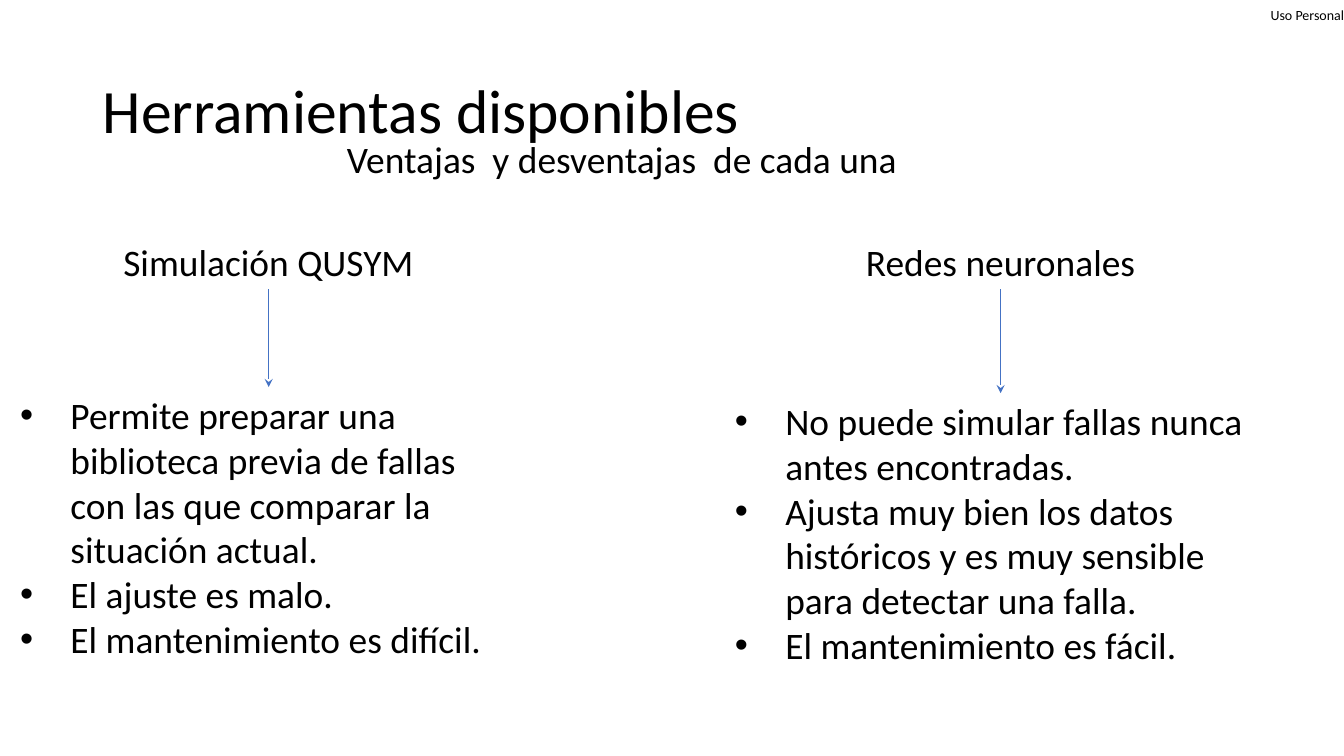
from lxml.etree import SubElement
from pptx import Presentation
from pptx.dml.color import RGBColor
from pptx.enum.shapes import MSO_CONNECTOR
from pptx.enum.text import MSO_ANCHOR, PP_ALIGN
from pptx.oxml.ns import qn
from pptx.util import Inches, Pt

BLACK = RGBColor(0x00, 0x00, 0x00)
BLUE = RGBColor(0x44, 0x72, 0xC4)


class SlideBuilder:
    font_name = "Calibri"
    body_size = 26.7
    bullet_indent = 0.5

    def __init__(self, slide):
        self.slide = slide

    def text(self, box, lines, size=body_size, align=PP_ALIGN.LEFT,
             anchor=MSO_ANCHOR.TOP, line_spacing=None, bulleted=False, padded=True):
        shape = self.slide.shapes.add_textbox(*map(Inches, box))
        frame = shape.text_frame
        frame.word_wrap = True
        frame.vertical_anchor = anchor
        frame.margin_left = frame.margin_right = Inches(0.1 if padded else 0)
        frame.margin_top = frame.margin_bottom = Inches(0.05 if padded else 0)
        for index, line in enumerate(lines):
            paragraph = frame.add_paragraph() if index else frame.paragraphs[0]
            paragraph.alignment = align
            if line_spacing:
                paragraph.line_spacing = line_spacing
            if bulleted:
                self.bullet(paragraph)
            run = paragraph.add_run()
            run.text = line
            run.font.name = self.font_name
            run.font.size = Pt(size)
            run.font.color.rgb = BLACK

    def bullet(self, paragraph):
        properties = paragraph._p.get_or_add_pPr()
        indent = Inches(self.bullet_indent)
        properties.set("marL", str(indent))
        properties.set("indent", str(-indent))
        SubElement(properties, qn("a:buFont"), typeface="Arial")
        SubElement(properties, qn("a:buChar"), char="•")

    def down_arrow(self, x, top, bottom):
        connector = self.slide.shapes.add_connector(
            MSO_CONNECTOR.STRAIGHT, Inches(x), Inches(top), Inches(x), Inches(bottom))
        connector.line.color.rgb = BLUE
        connector.line.width = Pt(1)
        SubElement(connector.line._get_or_add_ln(), qn("a:tailEnd"), type="stealth")
        SubElement(connector._element.spPr, qn("a:effectLst"))


def main():
    presentation = Presentation()
    presentation.slide_width = Inches(13.33)
    presentation.slide_height = Inches(7.5)
    builder = SlideBuilder(presentation.slides.add_slide(presentation.slide_layouts[6]))

    # Classification label, title and subtitle
    builder.text((12.29, 0, 1.04, 0.29), ["Uso Personal"], size=10,
                 align=PP_ALIGN.RIGHT, anchor=MSO_ANCHOR.MIDDLE, padded=False)
    builder.text((0.92, 0.4, 11.5, 1.45), ["Herramientas disponibles"], size=44,
                 anchor=MSO_ANCHOR.MIDDLE, line_spacing=0.9)
    builder.text((2.88, 1.3, 6.58, 0.55), ["Ventajas  y desventajas  de cada una"],
                 align=PP_ALIGN.CENTER)

    # One column per tool: heading, arrow and list
    heading_top, heading_height, list_height = 2.32, 0.55, 2.79
    columns = [
        ("Simulación QUSYM", 0.73, 3.87, (0.1, 3.84, 5.12), [
            "Permite preparar una biblioteca previa de fallas con las que comparar "
            "la situación actual.",
            "El ajuste es malo.",
            "El mantenimiento es difícil.",
        ]),
        ("Redes neuronales", 7.77, 4.31, (7.19, 3.9, 5.48), [
            "No puede simular fallas nunca antes encontradas.",
            "Ajusta muy bien los datos históricos y es muy sensible para detectar "
            "una falla.",
            "El mantenimiento es fácil.",
        ]),
    ]
    for heading, left, width, (list_left, list_top, list_width), points in columns:
        builder.text((left, heading_top, width, heading_height), [heading],
                     align=PP_ALIGN.CENTER)
        builder.down_arrow(left + width / 2, heading_top + heading_height, list_top)
        builder.text((list_left, list_top, list_width, list_height), points, bulleted=True)

    presentation.save("out.pptx")


if __name__ == "__main__":
    main()
